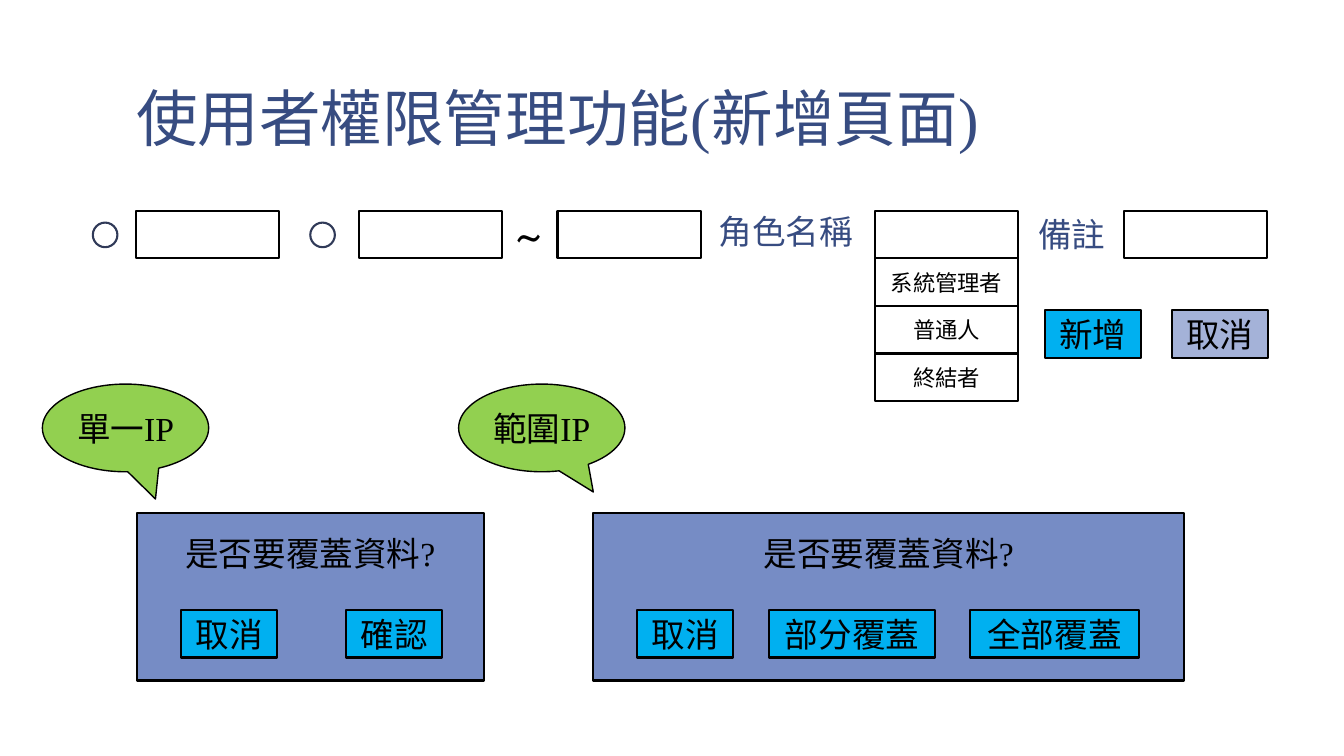
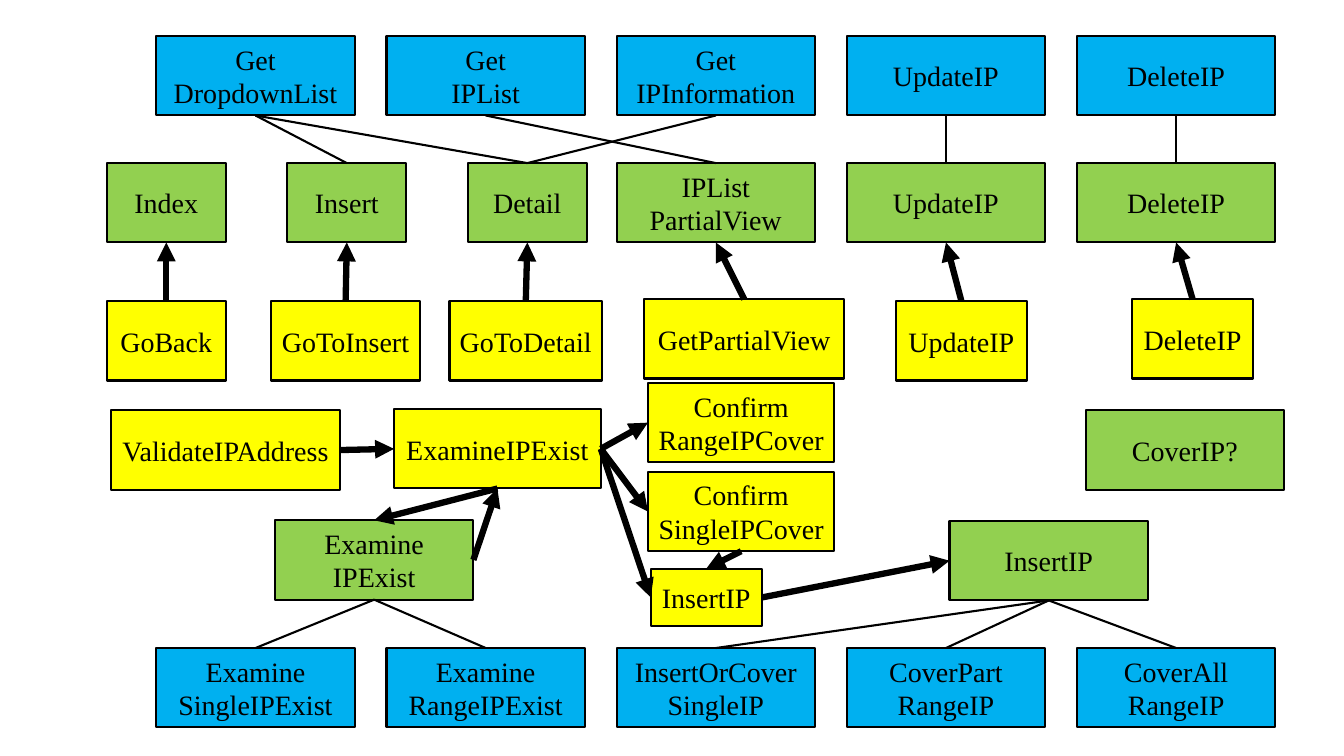
from lxml.etree import SubElement
from pptx import Presentation
from pptx.dml.color import RGBColor
from pptx.enum.shapes import MSO_CONNECTOR, MSO_SHAPE
from pptx.enum.text import MSO_ANCHOR, PP_ALIGN
from pptx.oxml.ns import qn
from pptx.util import Cm, Pt

COLORS = {
    "white": "FFFFFF", "black": "000000", "title": "374C81", "radio": "303A58",
    "blue": "00B0F0", "green": "92D050", "yellow": "FFFF00",
    "dialog": "768CC5", "muted": "A4B2D8",
}
SERIF = "Times New Roman"
SANS = "TeX Gyre Adventor"

FIELD_WIDTH, FIELD_HEIGHT = 3.61, 1.2
BUTTON_WIDTH = 2.41
TOP, LEFT, BOTTOM, RIGHT = range(4)


def color(name):
    return RGBColor.from_string(COLORS[name])


def write(shape, text, size, color_name="black", align=None, font=SERIF):
    shape.text_frame.text = text
    for paragraph in shape.text_frame.paragraphs:
        paragraph.alignment = align
        for run in paragraph.runs:
            run.font.name = font
            run.font.size = Pt(size)
            run.font.color.rgb = color(color_name)


def add_box(slide, left, top, width, height, fill="white", text="", size=24,
            kind=MSO_SHAPE.RECTANGLE, line="black", line_width=1.5, side_margin=0.25):
    shape = slide.shapes.add_shape(kind, Cm(left), Cm(top), Cm(width), Cm(height))
    shape.shadow.inherit = False
    shape.fill.solid()
    shape.fill.fore_color.rgb = color(fill)
    shape.line.color.rgb = color(line)
    shape.line.width = Pt(line_width)
    if text:
        frame = shape.text_frame
        frame.vertical_anchor = MSO_ANCHOR.MIDDLE
        frame.margin_left = frame.margin_right = Cm(side_margin)
        write(shape, text, size, align=PP_ALIGN.CENTER)
    return shape


def add_label(slide, left, top, width, height, text, size, color_name="title", font=SERIF):
    label = slide.shapes.add_textbox(Cm(left), Cm(top), Cm(width), Cm(height))
    label.text_frame.word_wrap = True
    write(label, text, size, color_name, font=font)
    return label


def add_title(slide, text):
    title = add_label(slide, 3.1, 0.18, 28.22, 3.89, text, 44)
    frame = title.text_frame
    frame.vertical_anchor = MSO_ANCHOR.BOTTOM
    frame.margin_left = frame.margin_right = Cm(0.33)
    frame.margin_top = frame.margin_bottom = Cm(0.18)
    frame.paragraphs[0].line_spacing = 0.85


def add_link(slide, start, start_side, end, end_side, width=1.5, arrow=False):
    link = slide.shapes.add_connector(MSO_CONNECTOR.STRAIGHT, 0, 0, 0, 0)
    link.begin_connect(start, start_side)
    link.end_connect(end, end_side)
    link.line.color.rgb = color("black")
    link.line.width = Pt(width)
    properties = link._element.spPr
    if arrow:
        SubElement(properties.find(qn("a:ln")), qn("a:tailEnd"), type="triangle")
    SubElement(properties, qn("a:effectLst"))


def add_input_row(slide, left, top):
    """Address fields with radio buttons, the role list and the remark field."""
    for x in (1.09, 6.7, 11.71, 19.71, 25.98):
        add_box(slide, left + x, top, FIELD_WIDTH, FIELD_HEIGHT)
    for x in (0, 5.48):
        add_box(slide, left + x, top + 0.3, 0.62, 0.62,
                kind=MSO_SHAPE.OVAL, line="radio")
    add_label(slide, left + 10.41, top - 0.2, 1.19, 1.63, "~", 32, "black", SANS)
    add_label(slide, left + 15.52, top - 0.13, 3.91, 1.27, "角色名稱", 24)
    add_label(slide, left + 23.57, top - 0.05, 3.91, 1.27, "備註", 24)
    for row, role in enumerate(("系統管理者", "普通人", "終結者"), 1):
        add_box(slide, left + 19.71, top + row * FIELD_HEIGHT,
                FIELD_WIDTH, FIELD_HEIGHT, text=role, size=16)
    for x, text, fill in ((24, "新增", "blue"), (27.2, "取消", "muted")):
        add_box(slide, left + x, top + 2.51, BUTTON_WIDTH, FIELD_HEIGHT, fill, text)


def add_dialog(slide, left, top, width, buttons):
    """Question panel; each button is (offset, width, text)."""
    panel = add_box(slide, left, top, width, 4.22, "dialog", "是否要覆蓋資料?")
    panel.text_frame.vertical_anchor = MSO_ANCHOR.TOP
    panel.text_frame.margin_top = Cm(0.5)
    for offset, button_width, text in buttons:
        add_box(slide, left + offset, top + 2.44, button_width, FIELD_HEIGHT, "blue", text)


def add_callout(slide, left, top, text, pointer):
    callout = add_box(slide, left, top, 4.19, 2.21, "green", text,
                      kind=MSO_SHAPE.OVAL_CALLOUT, line_width=1)
    callout.adjustments[0], callout.adjustments[1] = pointer


def build_form_slide(slide):
    add_title(slide, "使用者權限管理功能(新增頁面)")
    add_input_row(slide, 2.34, 5.31)
    add_dialog(slide, 3.45, 12.93, 8.74,
               ((1.12, BUTTON_WIDTH, "取消"), (5.28, BUTTON_WIDTH, "確認")))
    add_dialog(slide, 14.94, 12.93, 14.91,
               ((1.12, BUTTON_WIDTH, "取消"), (4.45, 4.17, "部分覆蓋"),
                (9.5, 4.27, "全部覆蓋")))
    add_callout(slide, 1.07, 9.68, "單一IP", (0.18, 0.81))
    add_callout(slide, 11.56, 9.68, "範圍IP", (0.31, 0.73))


def add_node(slide, left, top, fill, text, width=5, height=2):
    return add_box(slide, left, top, width, height, fill, text, 20, side_margin=0.1)


def add_data_row(slide, top, fill, texts, first=0):
    """Boxes on the five-column grid, starting at column first."""
    return [add_node(slide, 3.94 + 5.8 * column, top, fill, text)
            for column, text in enumerate(texts, first)]


def add_navigation(slide):
    """Data methods, the actions using them and the scripts calling the actions."""
    data = add_data_row(slide, 0.91, "blue", (
        "Get\nDropdownList", "Get\nIPList", "Get\nIPInformation", "UpdateIP", "DeleteIP"))
    actions = [add_node(slide, 2.69 + 4.55 * column, 4.11, "green", text, 3)
               for column, text in enumerate(("Index", "Insert", "Detail"))]
    actions += add_data_row(slide, 4.11, "green",
                            ("IPList\nPartialView", "UpdateIP", "DeleteIP"), 2)
    scripts = [add_node(slide, left, top, "yellow", text, width)
               for left, top, width, text in (
                   (2.69, 7.59, 3, "GoBack"), (6.83, 7.59, 3.76, "GoToInsert"),
                   (11.33, 7.59, 3.84, "GoToDetail"), (16.23, 7.54, 5.05, "GetPartialView"),
                   (22.58, 7.59, 3.3, "UpdateIP"), (28.52, 7.54, 3.07, "DeleteIP"))]
    for source, target in ((0, 1), (0, 2), (1, 3), (2, 2), (3, 4), (4, 5)):
        add_link(slide, data[source], BOTTOM, actions[target], TOP)
    for script, action in zip(scripts, actions):
        add_link(slide, script, TOP, action, BOTTOM, 4.5, True)


def add_insert_flow(slide):
    """Validation and confirmation steps that lead to the insert methods."""
    validate = add_node(slide, 2.79, 10.34, "yellow", "ValidateIPAddress", 5.79)
    examine = add_node(slide, 9.93, 10.31, "yellow", "ExamineIPExist", 5.21)
    confirm_range = add_node(slide, 16.33, 9.65, "yellow", "Confirm\nRangeIPCover", 4.7)
    confirm_single = add_node(slide, 16.33, 11.89, "yellow", "Confirm\nSingleIPCover", 4.7)
    insert = add_node(slide, 16.4, 14.33, "yellow", "InsertIP", 2.8, 1.45)
    examine_action = add_node(slide, 6.93, 13.11, "green", "Examine\nIPExist")
    insert_action = add_node(slide, 23.93, 13.13, "green", "InsertIP")
    add_node(slide, 27.36, 10.34, "green", "CoverIP?")
    data = add_data_row(slide, 16.33, "blue", (
        "Examine\nSingleIPExist", "Examine\nRangeIPExist", "InsertOrCover\nSingleIP",
        "CoverPart\nRangeIP", "CoverAll\nRangeIP"))
    for column, method in enumerate(data):
        action = examine_action if column < 2 else insert_action
        add_link(slide, action, BOTTOM, method, TOP)
    for start, start_side, end, end_side in (
            (validate, RIGHT, examine, LEFT),
            (examine, BOTTOM, examine_action, TOP),
            (examine_action, RIGHT, examine, BOTTOM),
            (examine, RIGHT, confirm_single, LEFT),
            (examine, RIGHT, confirm_range, LEFT),
            (examine, RIGHT, insert, LEFT),
            (insert, RIGHT, insert_action, LEFT),
            (confirm_single, BOTTOM, insert, TOP)):
        add_link(slide, start, start_side, end, end_side, 4.5, True)


def build_flow_slide(slide):
    add_navigation(slide)
    add_insert_flow(slide)


def main():
    presentation = Presentation()
    presentation.slide_width, presentation.slide_height = Cm(33.87), Cm(19.05)
    for build in (build_form_slide, build_flow_slide):
        slide = presentation.slides.add_slide(presentation.slide_layouts[6])
        slide.background.fill.solid()
        slide.background.fill.fore_color.rgb = color("white")
        build(slide)
    presentation.save("out.pptx")


if __name__ == "__main__":
    main()
